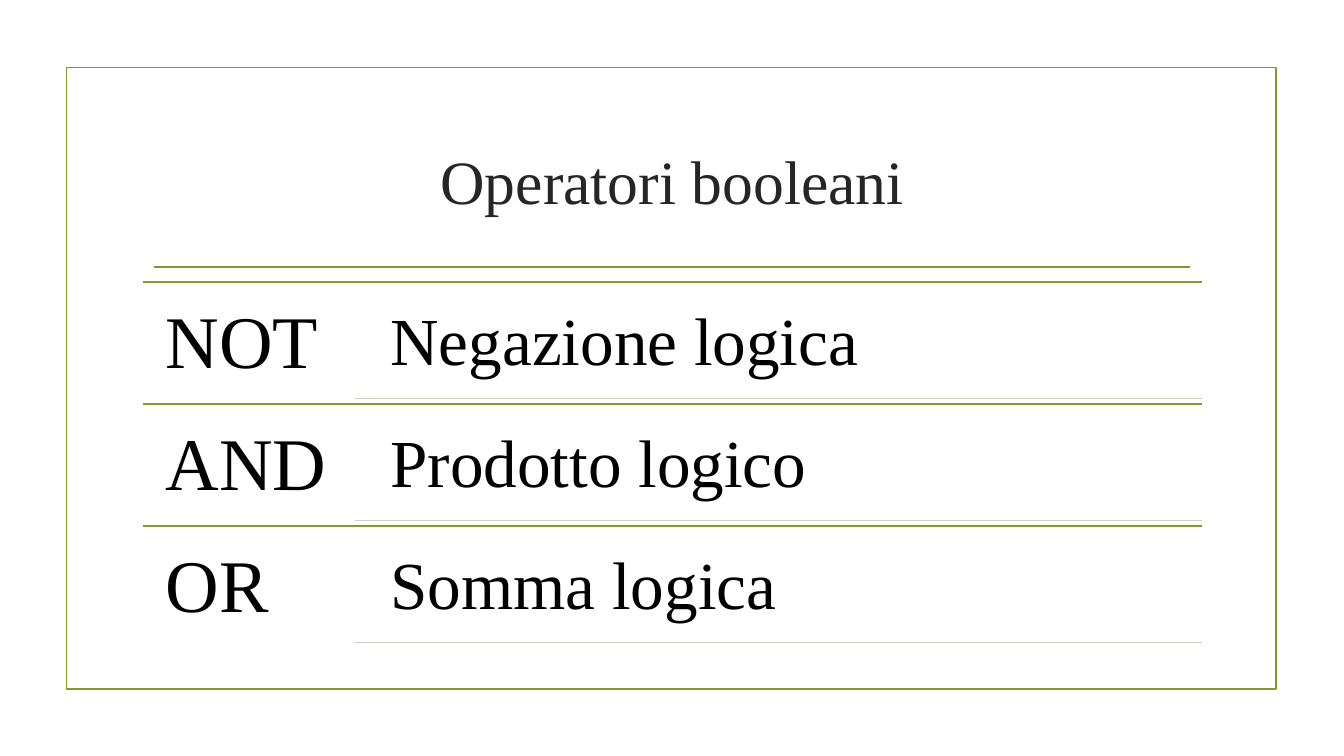
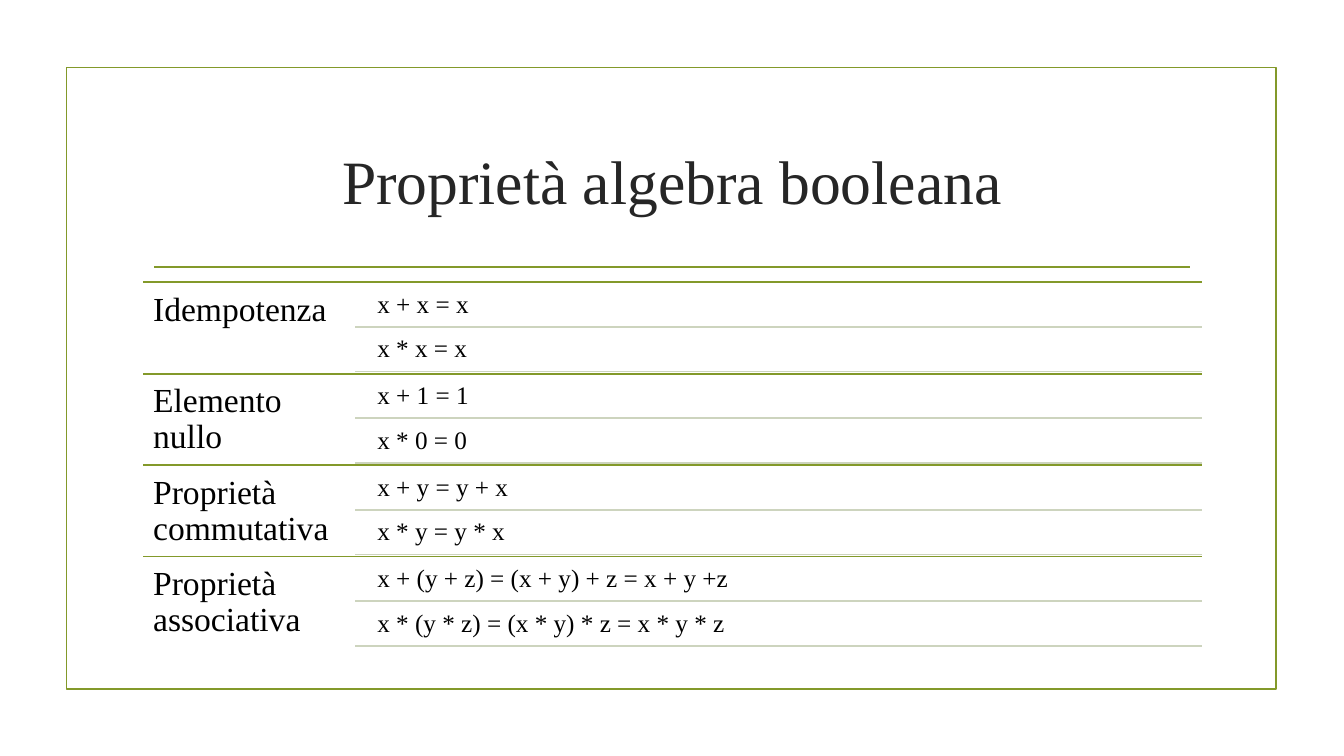
"""Build two slides on Boolean operators and the laws of Boolean algebra."""
import pptx
import pptx.dml.color
import pptx.enum.shapes
import pptx.enum.text
import pptx.oxml
import pptx.oxml.ns
import pptx.util

Cm = pptx.util.Cm
Pt = pptx.util.Pt
RGB = pptx.dml.color.RGBColor
OLIVE = RGB(0x83, 0x99, 0x2A)
SAGE = RGB(0xCD, 0xD4, 0xBE)
BLACK = RGB(0, 0, 0)
DARK = RGB(0x26, 0x26, 0x26)
FACE = "Times New Roman"
LEFT, RIGHT, TOP, TALL = 3.61, 30.28, 7.11, 9.22
RULE_X, CELL_X, LABEL_W = 8.95, 9.33, 5.33
GAP = 0.05

TITLE = {"name": FACE, "size": Pt(44)}
PAGES = [
    {
        "title": "Operatori booleani",
        "label": {"size": 53, "pad": 0.56},
        "cell": {"size": 48, "pad": 0.51},
        "bands": [
            ("NOT", ["Negazione logica"]),
            ("AND", ["Prodotto logico"]),
            ("OR", ["Somma logica"]),
        ],
    },
    {
        "title": "Proprietà algebra booleana",
        "label": {"size": 24, "pad": 0.25},
        "cell": {"size": 18, "pad": 0.18},
        "bands": [
            ("Idempotenza", ["x + x = x", "x * x = x"]),
            ("Elemento nullo", ["x + 1 = 1", "x * 0 = 0"]),
            ("Proprietà commutativa", ["x + y = y + x", "x * y = y * x"]),
            ("Proprietà associativa", [
                "x + (y + z) = (x + y) + z = x + y +z",
                "x * (y * z) = (x * y) * z = x * y * z",
            ]),
        ],
    },
]


def add_rule(slide, x, y, end, color):
    rule = slide.shapes.add_connector(
        pptx.enum.shapes.MSO_CONNECTOR.STRAIGHT, Cm(x), Cm(y), Cm(end), Cm(y))
    rule.line.color.rgb = color
    rule.line.width = Pt(1.25)
    props = rule.element.find(pptx.oxml.ns.qn("p:spPr"))
    props.append(pptx.oxml.parse_xml(
        "<a:effectLst %s/>" % pptx.oxml.ns.nsdecls("a")))
    return rule


def add_text(slide, text, x, y, wide, high, size, pad):
    box = slide.shapes.add_textbox(Cm(x), Cm(y), Cm(wide), Cm(high))
    frame = box.text_frame
    frame.word_wrap = True
    for side in ("left", "top", "right", "bottom"):
        setattr(frame, "margin_" + side, Cm(pad))
    para = frame.paragraphs[0]
    para.text = text
    para.line_spacing = 0.9
    for key, value in {"name": FACE, "size": Pt(size)}.items():
        setattr(para.font, key, value)
    para.font.color.rgb = BLACK


deck = pptx.Presentation()
deck.slide_width, deck.slide_height = Cm(33.87), Cm(19.05)
layout = deck.slide_layouts[5]
head = layout.placeholders[0]
for key, value in {"left": LEFT, "top": 2.72, "width": RIGHT - LEFT,
                   "height": 3.63}.items():
    setattr(head, key, Cm(value))

slides = [deck.slides.add_slide(layout) for page in PAGES]

border = slides[0].shapes.add_shape(
    pptx.enum.shapes.MSO_SHAPE.RECTANGLE, Cm(1.68), Cm(1.7), Cm(30.48), Cm(15.67))
border.shadow.inherit = False
border.fill.background()
border.line.color.rgb = OLIVE
border.line.width = Pt(1.25)
line = add_rule(slides[0], 3.89, 6.73, 30, OLIVE)
for shape in (border, line):
    layout.shapes.element.append(shape.element)

for slide, page in zip(slides, PAGES):
    title = slide.shapes.title.text_frame
    title.text = page["title"]
    title.vertical_anchor = pptx.enum.text.MSO_ANCHOR.MIDDLE
    para = title.paragraphs[0]
    para.alignment = pptx.enum.text.PP_ALIGN.CENTER
    for key, value in TITLE.items():
        setattr(para.font, key, value)
    para.font.color.rgb = DARK

    band = TALL / len(page["bands"])
    for row, (label, cells) in enumerate(page["bands"]):
        y = TOP + row * band
        add_rule(slide, LEFT, y, RIGHT, OLIVE)
        add_text(slide, label, LEFT, y, LABEL_W, band, **page["label"])
        high = band / (len(cells) * (1 + GAP) + GAP)
        for cell in cells:
            y += GAP * high
            add_text(slide, cell, CELL_X, y, RIGHT - CELL_X, high, **page["cell"])
            y += high
            add_rule(slide, RULE_X, y, RIGHT, SAGE)

deck.save("out.pptx")
